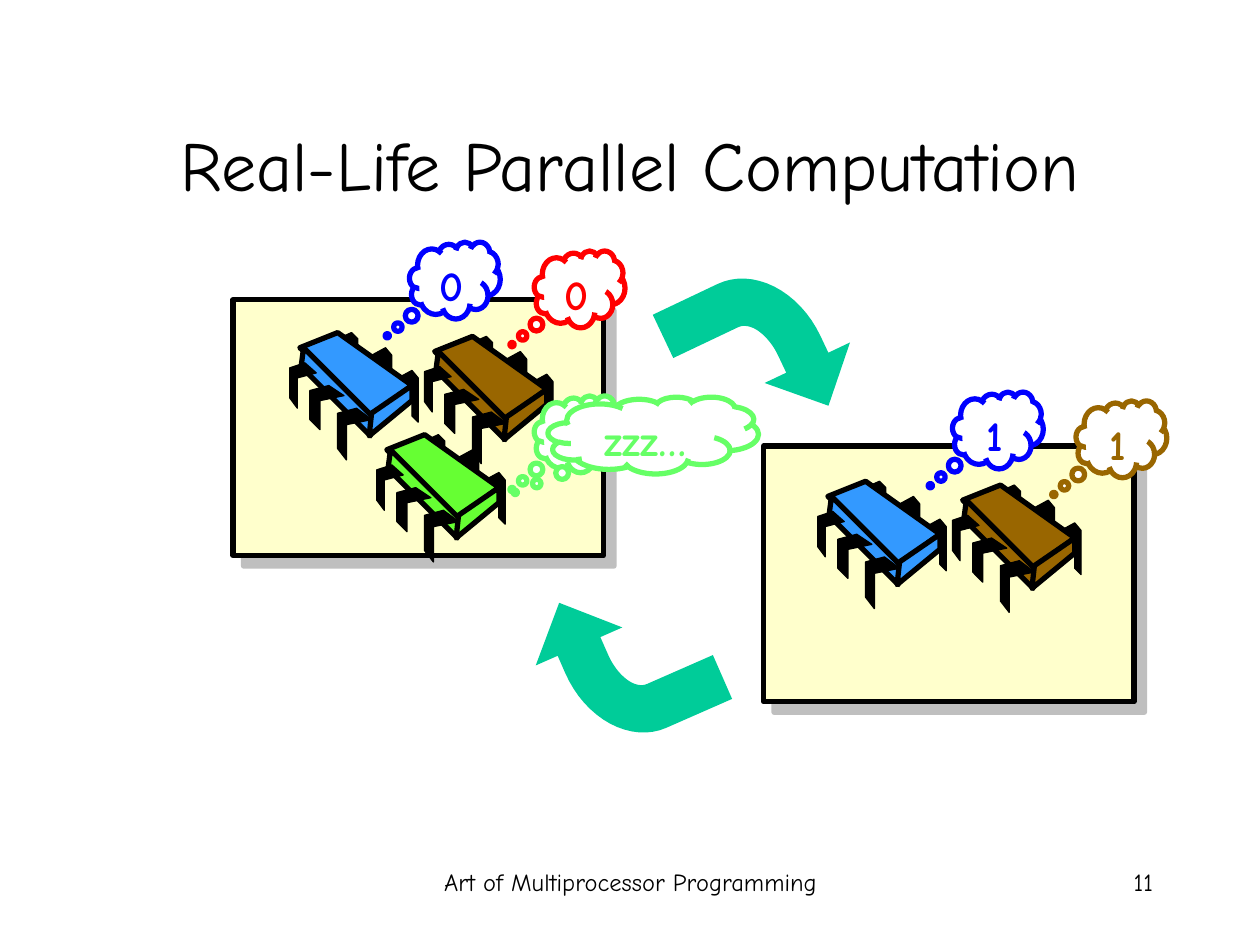
from math import cos, pi, sin

from lxml.etree import SubElement
from pptx import Presentation
from pptx.dml.color import RGBColor
from pptx.enum.shapes import MSO_SHAPE
from pptx.enum.text import MSO_ANCHOR, PP_ALIGN
from pptx.oxml.ns import qn
from pptx.util import Pt

EMU_PER_PX = 9144
FONT = "Comic Neue"
BLACK, BLUE, RED, BROWN = "000000", "0000FF", "FF0000", "996600"
SKY, LIME, MINT, CREAM, TEAL = "3399FF", "66FF33", "66FF66", "FFFFCC", "00CC99"

LONG_PIN = [(0, 6), (11, 0), (16, 6), (16, 41), (11, 36), (11, 12), (0, 18)]
SHORT_PIN = [(0, 5), (11, 0), (16, 5), (16, 36), (11, 31), (11, 10), (0, 15)]
BACK_PINS = [(86, 30, LONG_PIN), (65, 12, LONG_PIN), (38, 0, SHORT_PIN)]
CHIP_FACES = [
    [(38, 0), (97, 42), (64, 66), (8, 12)],
    [(11, 12), (65, 66), (64, 82), (9, 27)],
    [(97, 42), (97, 54), (63, 82), (65, 64)],
]
FRONT_PINS = [
    [(53, 60), (65, 69), (45, 73), (45, 101), (38, 92), (38, 64)],
    [(31, 42), (43, 50), (24, 54), (24, 77), (16, 69), (16, 46)],
    [(12, 24), (21, 32), (6, 36), (6, 60), (0, 52), (0, 28)],
]


def px(*lengths):
    return [round(length * EMU_PER_PX) for length in lengths]


def color(value):
    return RGBColor.from_string(value)


def paint(shape, fill, line=None, width=3):
    shape.shadow.inherit = False
    shape.fill.solid()
    shape.fill.fore_color.rgb = color(fill)
    if line:
        shape.line.color.rgb = color(line)
        shape.line.width = Pt(width)
    else:
        shape.line.fill.background()


def write(shape, text, size, ink, align, anchor, bold=False, space=0):
    frame = shape.text_frame
    frame.word_wrap = True
    frame.vertical_anchor = anchor
    paragraph = frame.paragraphs[0]
    paragraph.text = text
    paragraph.alignment = align
    paragraph.space_before = Pt(space)
    paragraph.font.name = FONT
    paragraph.font.size = Pt(size)
    paragraph.font.bold = bold
    paragraph.font.color.rgb = color(ink)


def draw_text(shapes, box, text, size, align, anchor=MSO_ANCHOR.TOP):
    write(shapes.add_textbox(*px(*box)), text, size, BLACK, align, anchor)


def draw_outline(shapes, left, top, points):
    corners = [px(*point) for point in points]
    builder = shapes.build_freeform(*corners[0], scale=1.0)
    builder.add_line_segments(corners[1:], close=True)
    return builder.convert_to_shape(*px(left, top))


def draw_chip(shapes, left, top, fill):
    chip = shapes.add_group_shape().shapes
    for x, y, pin in BACK_PINS:
        paint(draw_outline(chip, left + x, top + y, pin), BLACK, BLACK, 0.75)
    for face in CHIP_FACES:
        paint(draw_outline(chip, left, top, face), fill, BLACK)
    for pin in FRONT_PINS:
        paint(draw_outline(chip, left, top, pin), BLACK, BLACK, 0.75)


def draw_thought(shapes, left, top, text, ink, width=72, tail=(-0.745, 0.722)):
    cloud = shapes.add_shape(MSO_SHAPE.CLOUD_CALLOUT, *px(left, top, width, 61))
    cloud.adjustments[0], cloud.adjustments[1] = tail
    paint(cloud, "FFFFFF", ink)
    if text:
        write(cloud, text, 24, ink, PP_ALIGN.CENTER, MSO_ANCHOR.TOP, True, 6)


def add_shadow(shape):
    effects = shape._element.spPr.find(qn("a:effectLst"))
    shadow = SubElement(effects, qn("a:outerShdw"), blurRad="0",
                        dist=str(Pt(8.5)), dir="2700000", algn="ctr")
    tone = SubElement(shadow, qn("a:srgbClr"), val="808080")
    SubElement(tone, qn("a:alpha"), val="50000")


def draw_machine(shapes, left, top, chips, thoughts):
    board = shapes.add_shape(MSO_SHAPE.RECTANGLE, *px(left, top, 294, 203))
    paint(board, CREAM, BLACK)
    add_shadow(board)
    for x, y, fill in chips:
        draw_chip(shapes, left + x, top + y, fill)
    for x, y, *details in thoughts:
        draw_thought(shapes, left + x, top + y, *details)


def bend(radius_x, radius_y, steps=16):
    angles = [pi / 2 * step / steps for step in range(steps + 1)]
    return [(72 - radius_x * sin(a), 75 - radius_y * cos(a)) for a in angles]


def draw_bent_arrow(shapes, left, top, rotation):
    head = [(87, 56), (87, 75), (125, 37), (87, 0), (87, 19)]
    tail = [(0, 132), (38, 132)]
    points = head + bend(72, 56) + tail + bend(34, 19)[::-1]
    arrow = draw_outline(shapes, left, top, points)
    paint(arrow, TEAL)
    arrow.rotation = rotation


def main():
    presentation = Presentation()
    presentation.slide_width, presentation.slide_height = px(1000, 750)
    slide = presentation.slides.add_slide(presentation.slide_layouts[6])
    shapes = slide.shapes

    draw_text(shapes, (342, 683, 317, 50), "Art of Multiprocessor Programming",
              14, PP_ALIGN.CENTER)
    draw_text(shapes, (717, 683, 208, 50), "11", 14, PP_ALIGN.RIGHT)
    draw_text(shapes, (75, 67, 850, 125), "Real-Life Parallel Computation",
              40, PP_ALIGN.CENTER, MSO_ANCHOR.MIDDLE)

    draw_machine(
        shapes, 185, 238,
        [(45, 26, SKY), (152, 29, BROWN), (114, 107, LIME)],
        [(239, -39, "0", RED), (140, -46, "0", BLUE), (239, 76, "", MINT),
         (250, 77, "zzz…", MINT, 167, (-0.656, 0.744))],
    )
    draw_machine(
        shapes, 606, 354,
        [(43, 28, SKY), (150, 31, BROWN)],
        [(248, -36, "1", BROWN), (150, -43, "1", BLUE)],
    )
    draw_bent_arrow(shapes, 542, 212, 64.6)
    draw_bent_arrow(shapes, 433, 458, 246.3)

    presentation.save("out.pptx")


if __name__ == "__main__":
    main()
